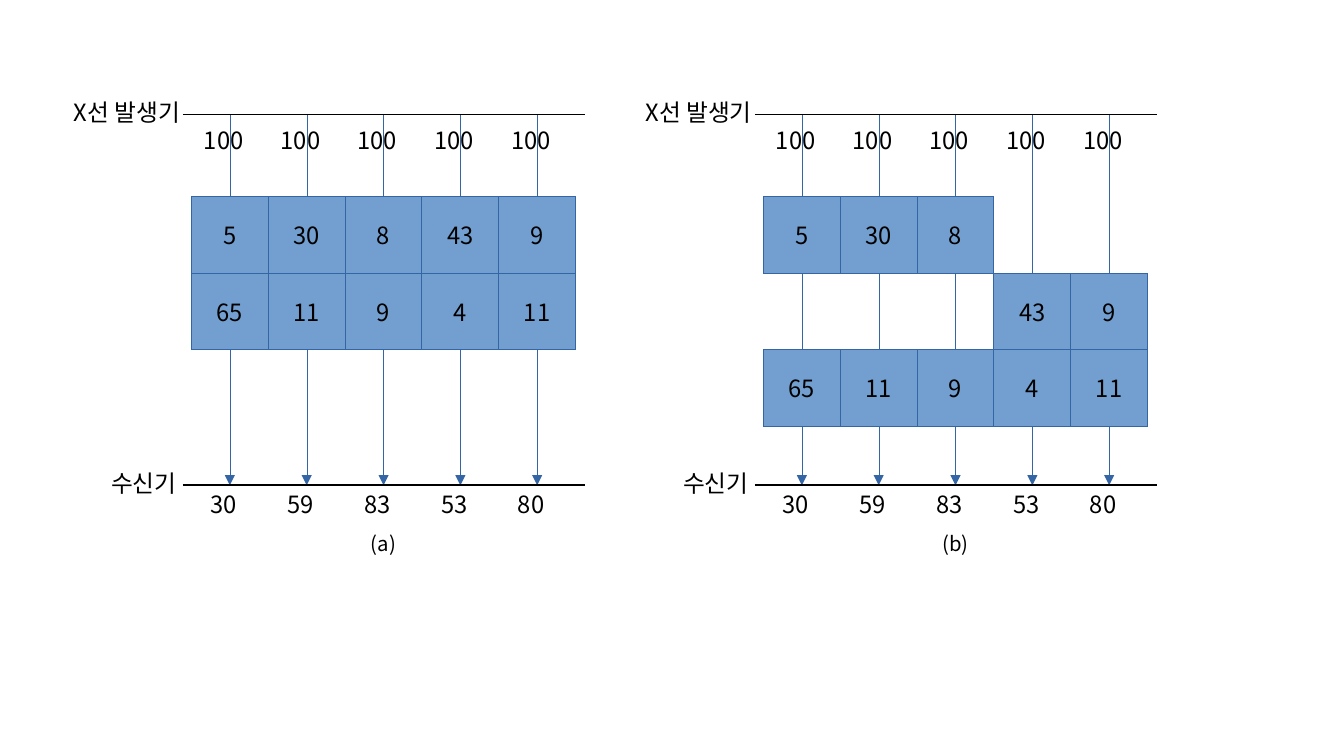
from dataclasses import dataclass
from typing import Optional

from lxml.etree import SubElement
from pptx import Presentation
from pptx.dml.color import RGBColor
from pptx.enum.shapes import MSO_CONNECTOR, MSO_SHAPE
from pptx.enum.text import MSO_ANCHOR as Anchor, PP_ALIGN as Align
from pptx.oxml.ns import qn
from pptx.util import Inches, Pt

FONT = "Noto Sans CJK KR"
BLACK = RGBColor(0x00, 0x00, 0x00)
CELL_FILL = RGBColor(0x72, 0x9F, 0xCF)
RAY_BLUE = RGBColor(0x34, 0x65, 0xA4)

# A width of exactly 0 would be dropped in favour of the theme's width.
HAIRLINE = 0.01
CELL = 0.63
COLUMNS = 5
GRID_TOP = 1.61
EMITTER_Y = 0.94
RECEIVER_Y = 3.98
EMITTED = 100
LABEL_HEIGHT = 0.38

Row = tuple[Optional[int], ...]


@dataclass(frozen=True)
class Panel:
    """One absorption grid; None marks an empty cell."""
    caption: str
    left: float
    rows: tuple[Row, ...]

    def received(self, column: int) -> int:
        """Return the intensity left after passing through a column."""
        return EMITTED - sum(row[column] or 0 for row in self.rows)


PANELS = (
    Panel("(a)", 1.57, ((5, 30, 8, 43, 9),
                        (65, 11, 9, 4, 11))),
    Panel("(b)", 6.26, ((5, 30, 8, None, None),
                        (None, None, None, 43, 9),
                        (65, 11, 9, 4, 11))),
)


def write(shape, text: str, *, size: float = 14, anchor=Anchor.TOP) -> None:
    """Put one centred, formatted line of text into a shape."""
    frame = shape.text_frame
    frame.word_wrap = False
    frame.vertical_anchor = anchor
    paragraph = frame.paragraphs[0]
    paragraph.alignment = Align.CENTER
    run = paragraph.add_run()
    run.text = text
    run.font.name = FONT
    run.font.size = Pt(size)
    run.font.color.rgb = BLACK
    SubElement(run.font._element, qn("a:ea"), typeface=FONT)


def add_label(slide, text: str, left: float, top: float, width: float,
              height: float = LABEL_HEIGHT, **text_format) -> None:
    """Add a text box."""
    box = slide.shapes.add_textbox(
        Inches(left), Inches(top), Inches(width), Inches(height))
    write(box, text, **text_format)


def add_line(slide, start: tuple[float, float], end: tuple[float, float],
             color: RGBColor, width: float, arrow: bool = False) -> None:
    """Add a straight line, with an arrowhead at its end if asked."""
    line = slide.shapes.add_connector(
        MSO_CONNECTOR.STRAIGHT, *(Inches(v) for v in (*start, *end)))
    line.line.color.rgb = color
    line.line.width = Pt(width)
    if arrow:
        SubElement(line.line._get_or_add_ln(), qn("a:tailEnd"), type="triangle")
    SubElement(line._element.spPr, qn("a:effectLst"))


def add_cell(slide, value: int, left: float, top: float) -> None:
    """Add one square of the absorption grid."""
    cell = slide.shapes.add_shape(
        MSO_SHAPE.RECTANGLE, Inches(left), Inches(top), Inches(CELL), Inches(CELL))
    cell.shadow.inherit = False
    cell.fill.solid()
    cell.fill.fore_color.rgb = CELL_FILL
    cell.line.color.rgb = RAY_BLUE
    cell.line.width = Pt(HAIRLINE)
    write(cell, str(value), anchor=Anchor.MIDDLE)


def add_panel(slide, panel: Panel) -> None:
    """Draw rays, grid, emitter, receiver and readings of a panel."""
    left = panel.left
    column_lefts = [left + CELL * column for column in range(COLUMNS)]
    for column_left in column_lefts:
        ray_x = column_left + CELL / 2
        add_line(slide, (ray_x, EMITTER_Y), (ray_x, RECEIVER_Y),
                 RAY_BLUE, HAIRLINE, arrow=True)

    for row_index, row in enumerate(panel.rows):
        for column_left, value in zip(column_lefts, row):
            if value is not None:
                add_cell(slide, value, column_left, GRID_TOP + CELL * row_index)

    for line_y in (EMITTER_Y, RECEIVER_Y):
        add_line(slide, (left - 0.07, line_y), (left + 3.23, line_y), BLACK, 1)
    add_label(slide, "X선 발생기", left - 1.1, 0.75, 1.14)
    add_label(slide, "수신기", left - 0.86, 3.77, 0.94, anchor=Anchor.MIDDLE)

    for column, column_left in enumerate(column_lefts):
        add_label(slide, str(EMITTED), column_left - 0.05, 0.98, CELL)
        add_label(slide, str(panel.received(column)), column_left - 0.05, 3.97, CELL)
    add_label(slide, panel.caption, left + 1.34, 4.29, 0.47, 0.34,
              size=12, anchor=Anchor.MIDDLE)


def main() -> None:
    """Build and save the slide."""
    deck = Presentation()
    deck.slide_width, deck.slide_height = Inches(11.02), Inches(6.2)
    slide = deck.slides.add_slide(deck.slide_layouts[6])
    for panel in PANELS:
        add_panel(slide, panel)
    deck.save("out.pptx")


main()
